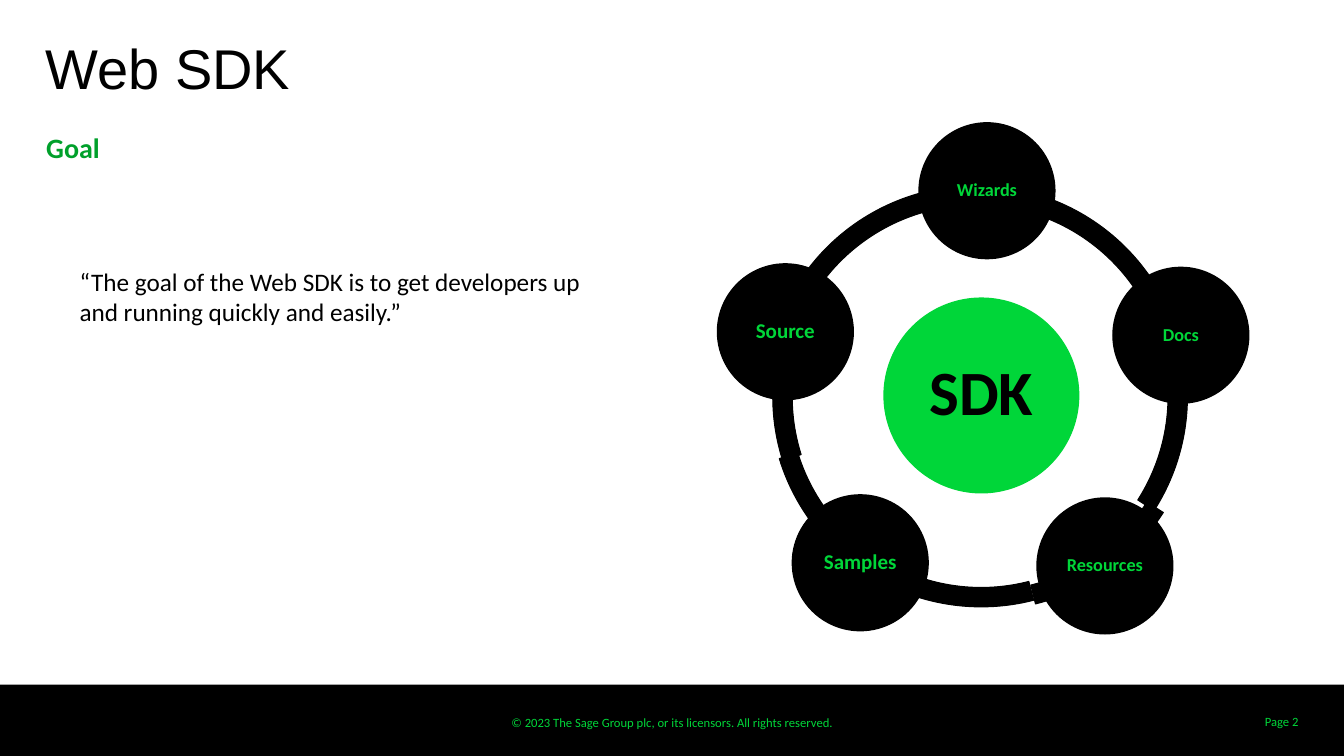
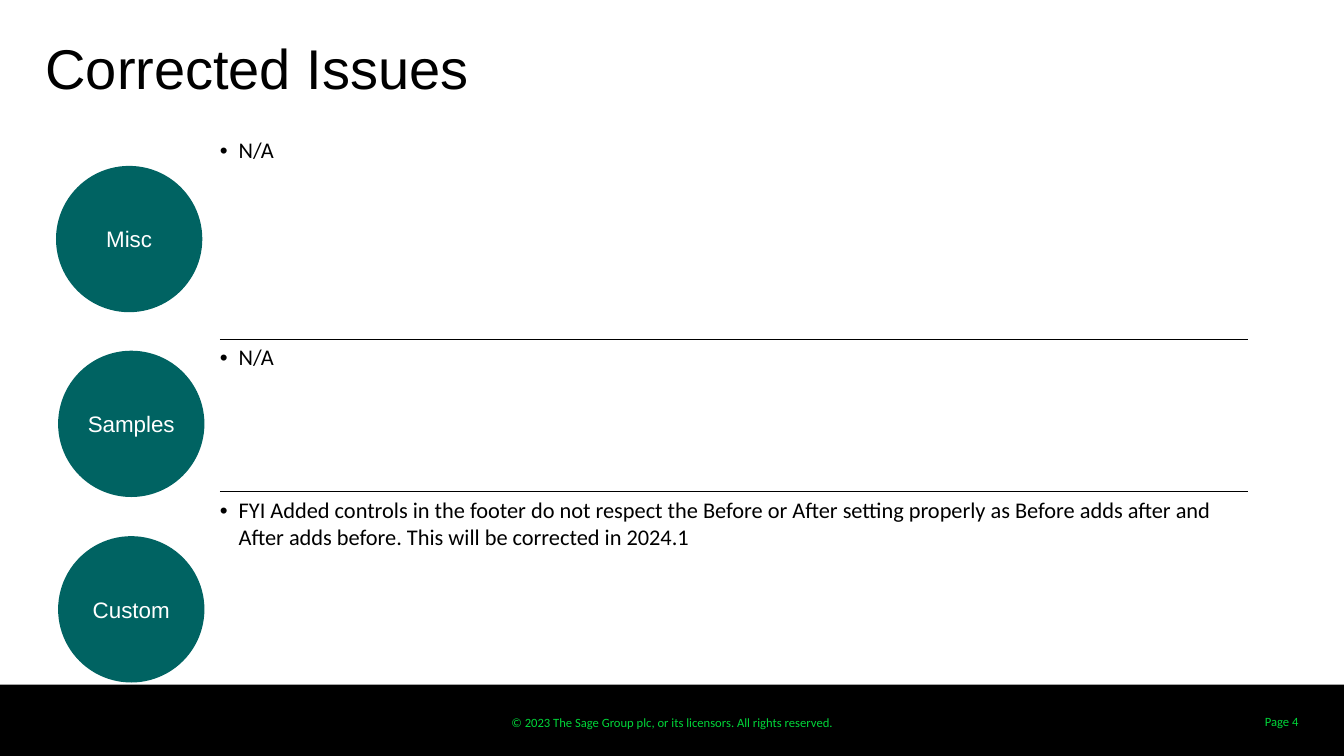
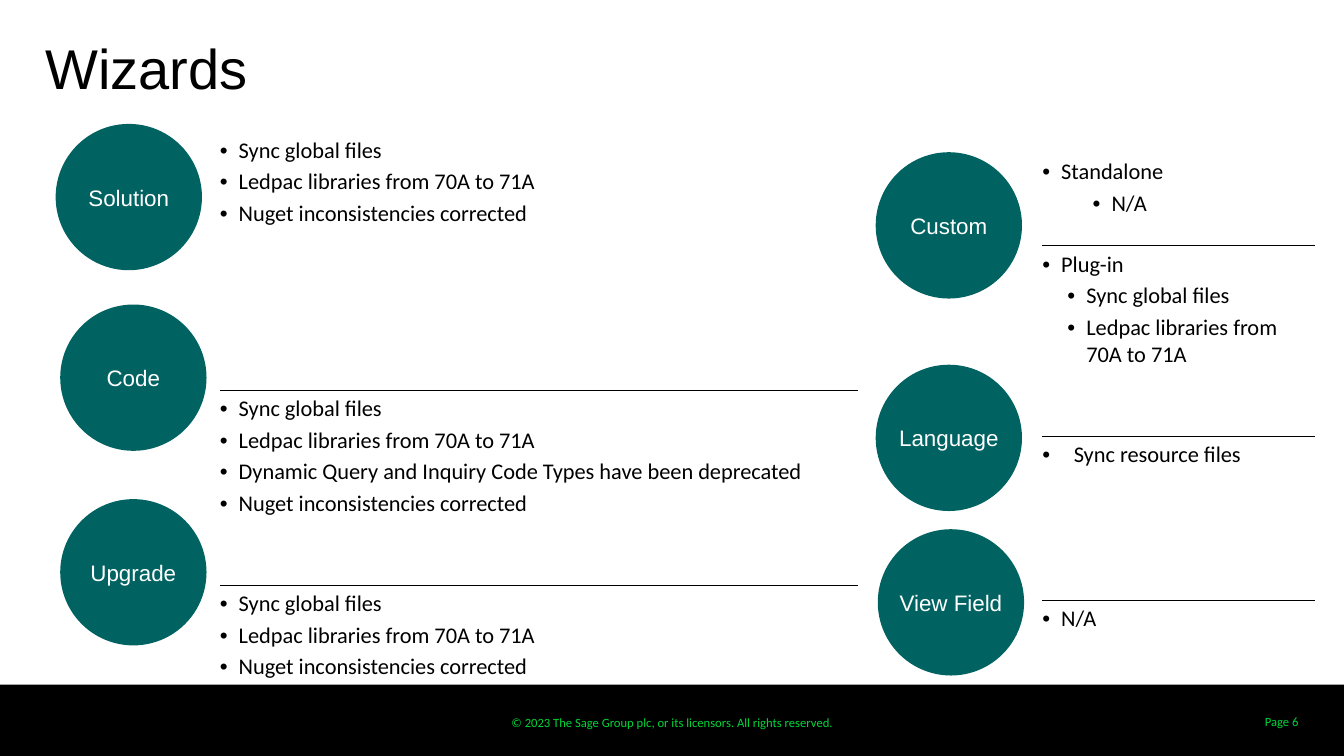
import pptx
import pptx.dml.color
import pptx.enum.shapes
import pptx.enum.text
import pptx.oxml
import pptx.oxml.ns
import pptx.util
from lxml import etree

Pt = pptx.util.Pt
SHAPE = pptx.enum.shapes.MSO_SHAPE
ALIGN = pptx.enum.text.PP_ALIGN
ANCHOR = pptx.enum.text.MSO_ANCHOR
qn = pptx.oxml.ns.qn

COLORS = {"black": "000000", "white": "FFFFFF", "bright": "00D639",
          "green": "00A02B", "teal": "006362"}
WIDTH, HEIGHT, BAND_TOP = 960, 540, 489
TITLE_BOX = (32.5, 23.75, 894, 47)
BODY_BOX = (33, 90, 893.5, 34.5)
NO_GRID_STYLE = "{2D5ABB26-0587-4C30-8999-92F81FD0307C}"

TITLE = {"name": "Arial", "size": 40, "color": "black"}
GOAL = {"name": "Calibri", "size": 20, "color": "green", "bold": True}
QUOTE = {"name": "Calibri", "size": 18, "color": "black"}
FOOTER = {"name": "Calibri", "size": 9, "color": "bright"}
CELL = {"name": "Calibri", "size": 16, "color": "black"}
TOPIC = {"name": "Arial", "size": 16, "color": "white"}
HUB = {"name": "Calibri", "size": 45, "color": "black", "bold": True}

COPYRIGHT = "© 2023 The Sage Group plc, or its licensors. All rights reserved."
GOAL_TEXT = ("“The goal of the Web SDK is to get developers up "
             "and running quickly and easily.”")

# Ring: left, top, start and end angle of each arc
ARC_SIZE, ARC_THICKNESS = 301.7, 0.046
ARCS = [
    (550, 132.5, 118.93, 162.95),
    (550, 131.8, 75.6, 118.8),
    (553, 134, 32.59, 76.29),
    (546.5, 132.5, 205.35, 32.61),
    (552, 132.5, 162.42, 205.63),
]
# Satellites: text, centre x, centre y, text size
HUB_SIZE, SATELLITE_SIZE, TOPIC_SIZE = 139, 97, 104.5
SATELLITES = [
    ("Wizards", 705, 136.25, 13),
    ("Docs", 843.5, 239.5, 13),
    ("Resources", 789.25, 404.25, 13),
    ("Samples", 614.5, 402, 15),
    ("Source", 561, 237, 15),
]

# Bullets: (text indent, hanging, level)
FIRST, SECOND, DEEP, WIDE = (13.5, 13.5, 0), (31.5, 13.5, 1), (49.5, 13.5, 1), (22.5, 22.5, 0)
SYNC = ("Sync global files", FIRST)
LIBRARIES = ("Ledpac libraries from 70A to 71A", FIRST)
NUGET = ("Nuget inconsistencies corrected", FIRST)
NONE = ("N/A", FIRST)

TOPIC_SLIDES = [
    {
        "title": "Corrected Issues", "page": 4,
        "topics": [("Misc", 40, 118.5), ("Samples", 41.5, 250.5), ("Custom", 41.5, 383)],
        "tables": [{
            "at": (157, 94.25), "width": 734.5,
            "rows": [
                (148, [NONE]),
                (109, [NONE]),
                (109, [("FYI Added controls in the footer do not respect the Before or "
                        "After setting properly as Before adds after and After adds "
                        "before. This will be corrected in 2024.1", FIRST)]),
            ],
        }],
    },
    {
        "title": "Wizards", "page": 6,
        "topics": [("Solution", 39.75, 88.5), ("Code", 43, 217.5), ("Upgrade", 43, 356.5),
                   ("Custom", 625.5, 108.75), ("Language", 625.5, 260.5),
                   ("View Field", 627, 378)],
        "tables": [
            {
                "at": (157, 94.25), "width": 456,
                "rows": [
                    (184.5, [SYNC, LIBRARIES, NUGET]),
                    (139.25, [SYNC, LIBRARIES,
                              ("Dynamic Query and Inquiry Code Types have been deprecated",
                               FIRST), NUGET]),
                    (112.5, [SYNC, LIBRARIES, NUGET]),
                ],
            },
            {
                "at": (744.5, 109.5), "width": 194.5,
                "rows": [
                    (66, [("Standalone", FIRST), ("N/A", DEEP)]),
                    (136.25, [("Plug-in", FIRST), (SYNC[0], SECOND), (LIBRARIES[0], SECOND)]),
                    (117.25, [("Sync resource files", WIDE)]),
                    (101, [NONE]),
                ],
            },
        ],
    },
]


def rgb(name):
    return pptx.dml.color.RGBColor.from_string(COLORS[name])


def pts(*values):
    return [Pt(v) for v in values]


def place(sp, box):
    for name, value in zip(("left", "top", "width", "height"), box):
        setattr(sp, name, Pt(value))


def set_frame(tf, margins, anchor=ANCHOR.TOP, wrap=True):
    sides = ("left", "top", "right", "bottom")
    values = {f"margin_{side}": Pt(m) for side, m in zip(sides, margins)}
    values.update(vertical_anchor=anchor, word_wrap=wrap)
    for name, value in values.items():
        setattr(tf, name, value)


def write(p, text, style, align=ALIGN.LEFT):
    p.alignment = align
    r = p.add_run()
    r.text = text
    for name, value in style.items():
        if name == "color":
            r.font.color.rgb = rgb(value)
        else:
            setattr(r.font, name, Pt(value) if name == "size" else value)


def set_bullet(p, indent, hanging, level):
    p.level = level
    pPr = p._p.get_or_add_pPr()
    pPr.set("marL", str(Pt(indent)))
    pPr.set("indent", str(-Pt(hanging)))
    etree.SubElement(pPr, qn("a:buFont")).set("typeface", "Arial")
    etree.SubElement(pPr, qn("a:buChar")).set("char", "•")


def add_text(s, box, text, style, align=ALIGN.LEFT, margins=(7.2, 3.6, 7.2, 3.6),
             anchor=ANCHOR.TOP):
    sp = s.shapes.add_textbox(*pts(*box))
    set_frame(sp.text_frame, margins, anchor)
    write(sp.text_frame.paragraphs[0], text, style, align)
    return sp


def add_filled(s, preset, box, fill, line_width=0):
    sp = s.shapes.add_shape(preset, *pts(*box))
    sp.shadow.inherit = False
    sp.fill.solid()
    sp.fill.fore_color.rgb = rgb(fill)
    if line_width:
        sp.line.color.rgb = rgb(fill)
        sp.line.width = Pt(line_width)
    else:
        sp.line.fill.background()
    return sp


def add_circle(s, box, text, fill, style, line_width=0, spacing=1.0):
    sp = add_filled(s, SHAPE.OVAL, box, fill, line_width)
    set_frame(sp.text_frame, (0, 0, 0, 0), ANCHOR.MIDDLE, wrap=False)
    p = sp.text_frame.paragraphs[0]
    p.line_spacing = spacing
    write(p, text, style, ALIGN.CENTER)


def set_border(cell, side, shown):
    ln = etree.SubElement(cell._tc.get_or_add_tcPr(), qn(f"a:ln{side}"), w=str(Pt(1)))
    if shown:
        fill = etree.SubElement(ln, qn("a:solidFill"))
        etree.SubElement(fill, qn("a:srgbClr"), val=COLORS["black"])
    else:
        etree.SubElement(ln, qn("a:noFill"))


def add_bullet_table(s, at, width, rows):
    """One column of bullet lists with a rule between the rows."""
    total = sum(height for height, _ in rows)
    table = s.shapes.add_table(len(rows), 1, *pts(*at, width, total)).table
    table.first_row = table.horz_banding = False
    table._tbl.tblPr.find(qn("a:tableStyleId")).text = NO_GRID_STYLE
    for i, (height, bullets) in enumerate(rows):
        table.rows[i].height = Pt(height)
        cell = table.cell(i, 0)
        for side, shown in (("L", False), ("R", False), ("T", i > 0),
                            ("B", i < len(rows) - 1)):
            set_border(cell, side, shown)
        cell.fill.background()
        for name, value in zip(("left", "top", "right", "bottom"), (0, 3.6, 0, 3.6)):
            setattr(cell, f"margin_{name}", Pt(value))
        tf = cell.text_frame
        for j, (text, bullet) in enumerate(bullets):
            p = tf.add_paragraph() if j else tf.paragraphs[0]
            set_bullet(p, *bullet)
            p.space_after = Pt(3)
            write(p, text, CELL)


def set_up_master(prs, s):
    """Place the shared placeholders, and move the footer from s to the master."""
    master = prs.slide_master
    title, body = master.placeholders[0], master.placeholders[1]
    for sp, box, margins in ((title, TITLE_BOX, (0, 0, 0, 0)),
                             (body, BODY_BOX, (0, 3.6, 0, 3.6))):
        place(sp, box)
        set_frame(sp.text_frame, margins)
        sp.text_frame.auto_size = pptx.enum.text.MSO_AUTO_SIZE.NONE
    band = add_filled(s, SHAPE.RECTANGLE, (0, BAND_TOP, WIDTH, HEIGHT - BAND_TOP), "black")
    notice = add_text(s, (354, 507, 252, 18), COPYRIGHT, FOOTER, ALIGN.CENTER, (0, 3.6, 0, 3.6))
    for number, sp in enumerate((band, notice), 101):
        sp.element.nvSpPr.cNvPr.set("id", str(number))
        master.shapes.element.append(sp.element)


def add_slide(prs, layout, title, page):
    s = prs.slides.add_slide(prs.slide_layouts.get_by_name(layout))
    write(s.shapes.title.text_frame.paragraphs[0], title, TITLE)
    add_text(s, (869, 501, 65.5, 29), f"Page {page}", FOOTER, ALIGN.RIGHT, anchor=ANCHOR.MIDDLE)
    return s


def fill_goal_slide(s):
    p = s.placeholders[1].text_frame.paragraphs[0]
    pPr = p._p.get_or_add_pPr()
    pPr.set("marL", "0")
    pPr.set("indent", "0")
    etree.SubElement(pPr, qn("a:buNone"))
    p.space_before = Pt(0)
    write(p, "Goal", GOAL)
    add_text(s, (49.75, 186.5, 382.25, 51), GOAL_TEXT, QUOTE)

    for left, top, start, end in ARCS:
        arc = add_filled(s, SHAPE.BLOCK_ARC, (left, top, ARC_SIZE, ARC_SIZE), "black", 0.75)
        # An angle is stored in 60000ths of a degree, an adjustment in 100000ths
        for i, value in enumerate((start * 0.6, end * 0.6, ARC_THICKNESS)):
            arc.adjustments[i] = value
    add_circle(s, (631.5, 213, HUB_SIZE, HUB_SIZE), "SDK", "bright", HUB, 1, 0.9)
    for text, x, y, size in SATELLITES:
        box = (x - SATELLITE_SIZE / 2, y - SATELLITE_SIZE / 2, SATELLITE_SIZE, SATELLITE_SIZE)
        add_circle(s, box, text, "black", {**HUB, "size": size, "color": "bright"}, 1, 0.9)


def main():
    prs = pptx.Presentation()
    prs.slide_width, prs.slide_height = pts(WIDTH, HEIGHT)
    s = add_slide(prs, "Title and Content", "Web SDK", 2)
    set_up_master(prs, s)
    fill_goal_slide(s)
    for content in TOPIC_SLIDES:
        s = add_slide(prs, "Title Only", content["title"], content["page"])
        for text, left, top in content["topics"]:
            add_circle(s, (left, top, TOPIC_SIZE, TOPIC_SIZE), text, "teal", TOPIC)
        for table in content["tables"]:
            add_bullet_table(s, **table)
    prs.save("out.pptx")


if __name__ == "__main__":
    main()
